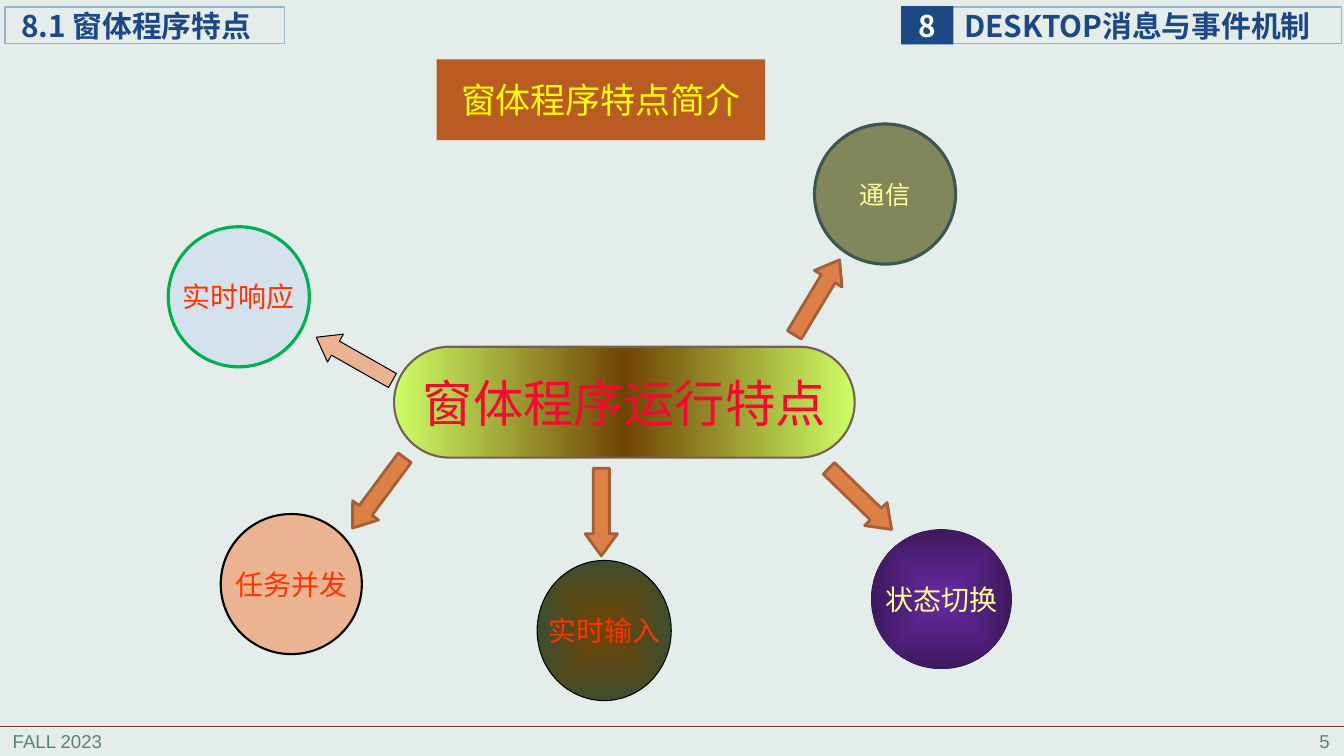
from dataclasses import dataclass

from lxml import etree
from pptx import Presentation, util as u
from pptx.dml.color import RGBColor
from pptx.enum import shapes, text
from pptx.oxml import parse_xml
from pptx.oxml.ns import nsdecls, qn

Pt = u.Pt
SHAPE = shapes.MSO_SHAPE
ALIGN = text.PP_ALIGN


@dataclass(frozen=True)
class Theme:
    cjk: str = "Noto Sans CJK SC"
    latin: str = "Arial"
    background: str = "E5EDEB"
    navy: str = "1C4885"
    white: str = "FFFFFF"
    frame: str = "94B6D2"
    rule: str = "7B3D17"
    footer: str = "578279"
    banner: str = "B95B22"
    yellow: str = "FFFF00"
    cream: str = "FFFF99"
    red: str = "FF3300"
    crimson: str = "F80830"
    black: str = "000000"
    orange: str = "DD8047"
    rust: str = "A35F35"
    peach: str = "EBB391"
    sky: str = "D4E2ED"
    green: str = "00B050"
    olive: str = "81875A"
    pine: str = "3A5750"
    taupe: str = "775F55"
    hub_fill: tuple = ("CCFF66", "704404", "CCFF66")
    forest_fill: tuple = ("704404", "3D4E2E")
    violet_fill: tuple = ("692AA2", "3D185D")
    small: float = 13.3
    node_small: float = 18
    node: float = 20
    heading: float = 21.3
    title: float = 25
    hub: float = 36


T = Theme()


@dataclass(frozen=True)
class Box:
    x: float
    y: float
    w: float
    h: float

    def emu(self):
        return [Pt(v) for v in (self.x, self.y, self.w, self.h)]

    def centered(self, dx, dy, w, h):
        return Box(self.x + (self.w - w) / 2 + dx,
                   self.y + (self.h - h) / 2 + dy, w, h)


def apply(target, values):
    for name, value in values.items():
        setattr(target, name, value)


def gradient(sp, colors):
    last = len(colors) - 1
    stops = "".join(
        f'<a:gs pos="{100000 * i // last}"><a:srgbClr val="{c}"/></a:gs>'
        for i, c in enumerate(colors))
    center = '<a:fillToRect l="50000" t="50000" r="50000" b="50000"/>'
    shade = ('<a:lin ang="0" scaled="1"/>' if last == 2
             else f'<a:path path="shape">{center}</a:path>')
    geometry = sp._element.spPr.find(qn("a:prstGeom"))
    geometry.addnext(parse_xml(
        f'<a:gradFill {nsdecls("a")} rotWithShape="1">'
        f'<a:gsLst>{stops}</a:gsLst>{shade}</a:gradFill>'))


def paint(sp, fill=None, line=None):
    if isinstance(fill, tuple):
        gradient(sp, fill)
    elif fill:
        sp.fill.solid()
        sp.fill.fore_color.rgb = RGBColor.from_string(fill)
    else:
        sp.fill.background()
    if line:
        color, width = line
        sp.line.color.rgb = RGBColor.from_string(color)
        sp.line.width = Pt(width)
    else:
        sp.line.fill.background()


def write(sp, words, size, color, align=ALIGN.CENTER, bold=False,
          font=T.cjk, wrap=False, insets=None):
    tf = sp.text_frame
    apply(tf, {"word_wrap": wrap, "auto_size": text.MSO_AUTO_SIZE.NONE,
               "vertical_anchor": text.MSO_ANCHOR.MIDDLE})
    if insets is not None:
        sides = ("margin_left", "margin_top", "margin_right", "margin_bottom")
        apply(tf, {side: Pt(v) for side, v in zip(sides, insets)})
    p = tf.paragraphs[0]
    p.alignment = align
    r = p.add_run()
    r.text = words
    apply(r.font, {"name": font, "size": Pt(size), "bold": bold})
    r.font.color.rgb = RGBColor.from_string(color)
    etree.SubElement(r._r.rPr, qn("a:ea")).set("typeface", font)


def add_shape(s, kind, box, fill=None, line=None):
    sp = s.shapes.add_shape(kind, *box.emu())
    sp.shadow.inherit = False
    paint(sp, fill, line)
    return sp


def add_header(s, box):
    style = {"size": T.heading, "bold": True}
    frame = (T.frame, 0.75)
    section = add_shape(s, SHAPE.RECTANGLE, Box(box.x, box.y, 199.4, box.h), line=frame)
    write(section, "8.1 窗体程序特点", color=T.navy, align=ALIGN.LEFT,
          wrap=True, insets=(11.5, 0, 0, 0), **style)
    right = box.x + box.w
    chapter = add_shape(s, SHAPE.RECTANGLE,
                        Box(right - 277.9, box.y, 277.9, box.h), line=frame)
    write(chapter, "DESKTOP消息与事件机制", color=T.navy, align=ALIGN.LEFT,
          wrap=True, insets=(8.6, 0, 0, 0), **style)
    number = add_shape(s, SHAPE.RECTANGLE,
                       Box(right - 314.6, box.y - 0.7, 37.4, box.h + 1.4), T.navy)
    write(number, "8", color=T.white, insets=(0, 0, 0, 0), **style)


def add_title(s, box):
    sp = s.shapes.title
    apply(sp, dict(zip(("left", "top", "width", "height"), box.emu())))
    paint(sp, T.banner)
    write(sp, "窗体程序特点简介", T.title, T.yellow, wrap=True)


def add_footer(s, box):
    rule = s.shapes.add_connector(shapes.MSO_CONNECTOR.STRAIGHT, Pt(box.x), Pt(box.y),
                                  Pt(box.x + box.w), Pt(box.y))
    rule.line.color.rgb = RGBColor.from_string(T.rule)
    rule.line.width = Pt(0.5)
    etree.SubElement(rule._element.spPr, qn("a:effectLst"))
    width = 200
    for words, x, align in (("FALL 2023", box.x + 2, ALIGN.LEFT),
                            ("5", box.x + box.w - 3 - width, ALIGN.RIGHT)):
        note = s.shapes.add_textbox(*Box(x, box.y - 0.7, width, box.h).emu())
        write(note, words, T.small, T.footer, align, font=T.latin, wrap=True)


def add_diagram(s, box):
    warm = (T.orange, (T.rust, 2))
    pale = (T.peach, (T.black, 0.75))
    wide, narrow = 100.8, 95.8
    nodes = [
        ("实时输入", (-14.4, 163.1), narrow, T.forest_fill, (T.black, 0.75),
         T.node, T.red, (-16.5, 78.5), 90, warm),
        ("状态切换", (226.5, 140.7), wide, T.violet_fill, None,
         T.node, T.cream, (168.5, 69.1), 44.2, warm),
        ("任务并发", (-237.9, 129.9), wide, T.peach, (T.black, 1.5),
         T.node, T.red, (-175.6, 64.8), 126.6, warm),
        ("实时响应", (-275.4, -75.3), wide, T.sky, (T.green, 2.25),
         T.node, T.red, (-192.9, -31), 209.6, pale),
        ("通信", (186.2, -148.7), wide, T.olive, (T.pine, 2.25),
         T.node_small, T.cream, (137.6, -74.9), 301, warm),
    ]
    hub = add_shape(s, SHAPE.ROUNDED_RECTANGLE, box.centered(0, 0, 329, 79.2),
                    T.hub_fill, (T.taupe, 1.5))
    hub.adjustments[0] = 0.5
    write(hub, "窗体程序运行特点", T.hub, T.crimson)
    for words, place, width, fill, line, size, color, midpoint, angle, look in nodes:
        node = add_shape(s, SHAPE.OVAL, box.centered(*place, width, 100.1), fill, line)
        write(node, words, size, color)
        arrow = add_shape(s, SHAPE.RIGHT_ARROW, box.centered(*midpoint, 62.6, 23), *look)
        arrow.adjustments[1] = 0.685
        arrow.rotation = angle


def main():
    prs = Presentation()
    apply(prs, {"slide_width": Pt(960), "slide_height": Pt(540)})
    s = prs.slides.add_slide(prs.slide_layouts[5])
    s.background.fill.solid()
    s.background.fill.fore_color.rgb = RGBColor.from_string(T.background)
    add_header(s, Box(3.6, 5, 954.7, 26))
    add_title(s, Box(311.8, 42.5, 234.7, 57.6))
    add_diagram(s, Box(120, 87.3, 652, 400))
    add_footer(s, Box(0, 519.1, 960, 22.3))
    prs.save("out.pptx")


if __name__ == "__main__":
    main()
